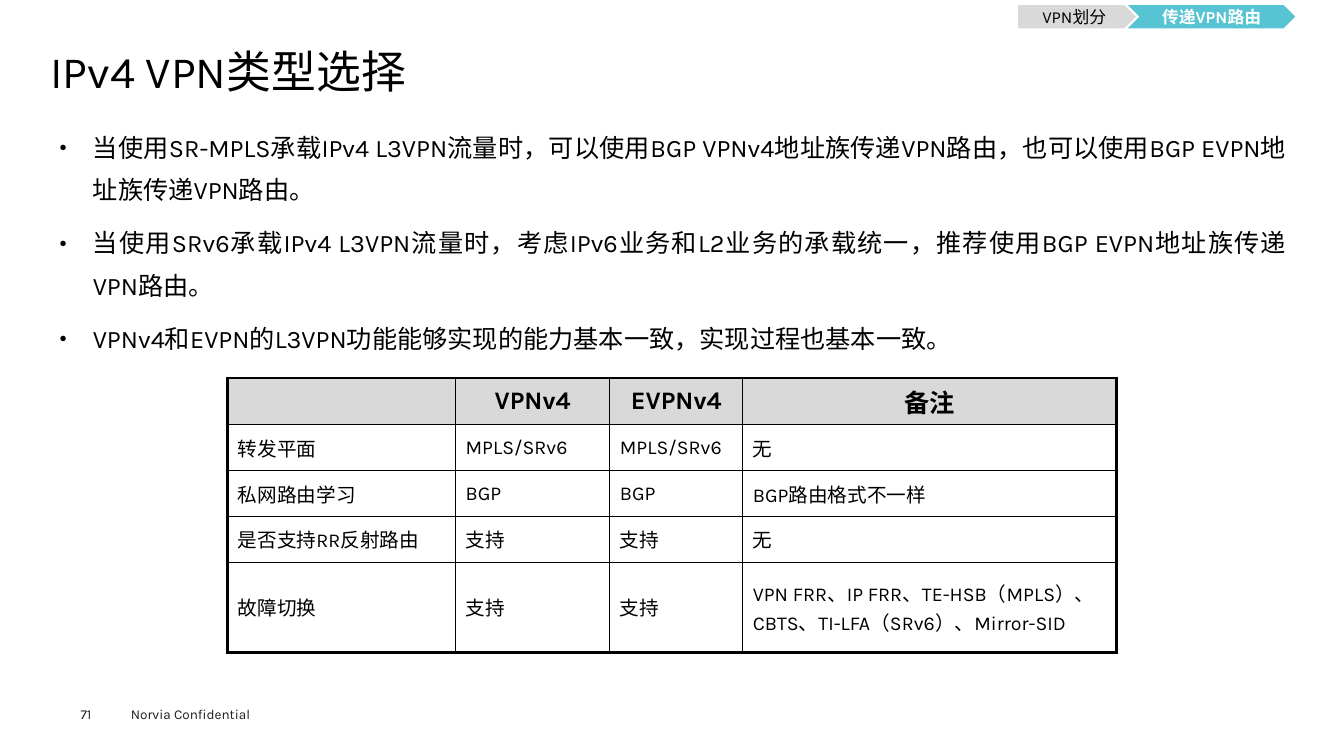
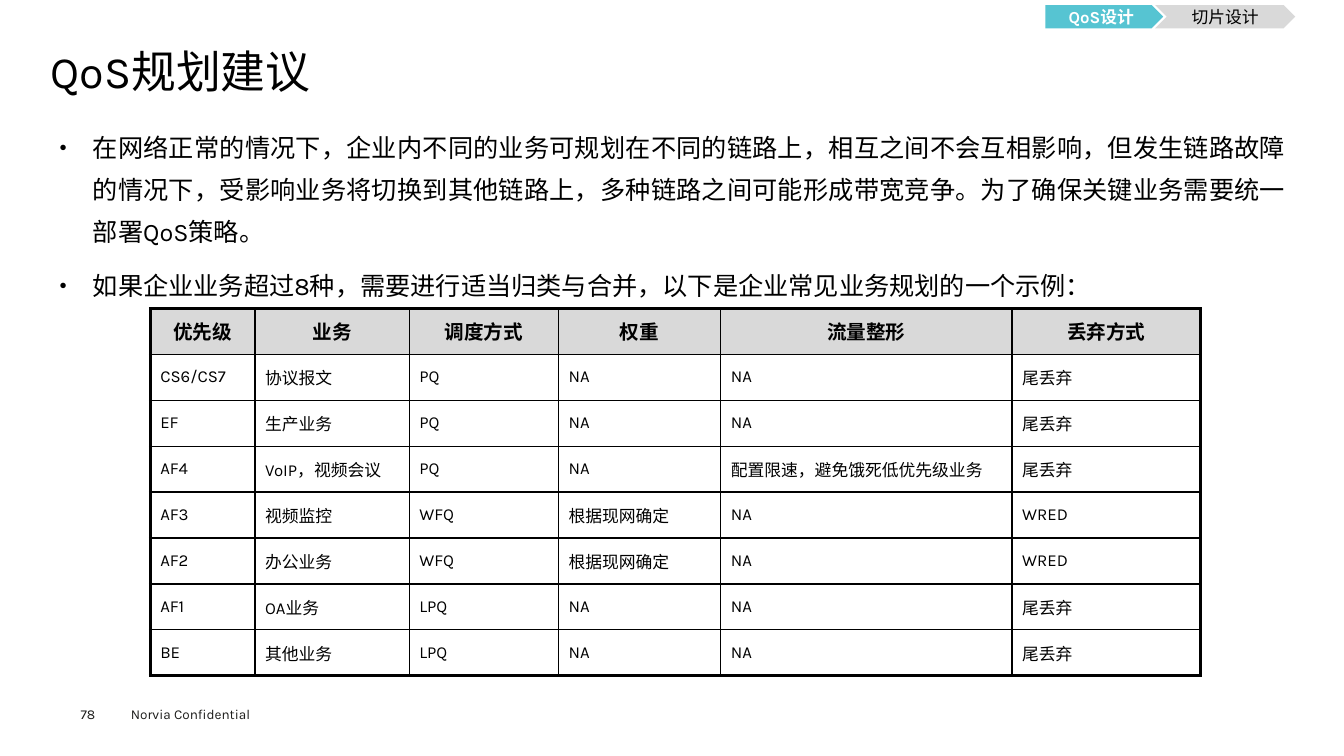
from dataclasses import dataclass

from lxml import etree
from pptx import Presentation
from pptx.dml.color import RGBColor
from pptx.enum import shapes, text
from pptx.oxml import ns
from pptx.util import Pt


@dataclass(frozen=True)
class Theme:
    font: str = "Karla"
    black: str = "000000"
    white: str = "FFFFFF"
    grey: str = "D9D9D9"
    teal: str = "56C4D2"
    footer: str = "1D1D1B"
    title_size: float = 32
    body_size: float = 18
    tab_size: float = 12
    footer_size: float = 9.7
    thin: float = 1
    thick: float = 2.25


theme = Theme()
left_edge, right_edge = 36, 925.2
tab_top, tab_height, first_tab_width, tab_step = 3.6, 16.6, 84.2, 78.4
row_height = 32.8

slides = [
    {
        "number": "71",
        "title": "IPv4 VPN类型选择",
        "body_height": 179.3,
        "bullets": [
            "当使用SR-MPLS承载IPv4 L3VPN流量时，可以使用BGP VPNv4地址族传递VPN路由，也可以使用BGP EVPN地址族传递VPN路由。",
            "当使用SRv6承载IPv4 L3VPN流量时，考虑IPv6业务和L2业务的承载统一，推荐使用BGP EVPN地址族传递VPN路由。",
            "VPNv4和EVPN的L3VPN功能能够实现的能力基本一致，实现过程也基本一致。",
        ],
        "tabs": ["VPN划分", "传递VPN路由"],
        "active_tab": 1,
        "last_tab_width": 119.5,
        "table_at": (162.7, 270),
        "columns": [162.7, 110.2, 95, 267.1],
        "header_size": 18,
        "cell_size": 14,
        "rows": [
            ["", "VPNv4", "EVPNv4", "备注"],
            ["转发平面", "MPLS/SRv6", "MPLS/SRv6", "无"],
            ["私网路由学习", "BGP", "BGP", "BGP路由格式不一样"],
            ["是否支持RR反射路由", "支持", "支持", "无"],
            ["故障切换", "支持", "支持", "VPN FRR、IP FRR、TE-HSB（MPLS）、CBTS、TI-LFA（SRv6）、Mirror-SID"],
        ],
    },
    {
        "number": "78",
        "title": "QoS规划建议",
        "body_height": 138.2,
        "bullets": [
            "在网络正常的情况下，企业内不同的业务可规划在不同的链路上，相互之间不会互相影响，但发生链路故障的情况下，受影响业务将切换到其他链路上，多种链路之间可能形成带宽竞争。为了确保关键业务需要统一部署QoS策略。",
            "如果企业业务超过8种，需要进行适当归类与合并，以下是企业常见业务规划的一个示例：",
        ],
        "tabs": ["QoS设计", "切片设计"],
        "active_tab": 0,
        "last_tab_width": 100.1,
        "table_at": (107.3, 220.3),
        "columns": [74.9, 110.2, 106.6, 115.9, 208.1, 134.6],
        "header_size": 14,
        "cell_size": 12,
        "rows": [
            ["优先级", "业务", "调度方式", "权重", "流量整形", "丢弃方式"],
            ["CS6/CS7", "协议报文", "PQ", "NA", "NA", "尾丢弃"],
            ["EF", "生产业务", "PQ", "NA", "NA", "尾丢弃"],
            ["AF4", "VoIP，视频会议", "PQ", "NA", "配置限速，避免饿死低优先级业务", "尾丢弃"],
            ["AF3", "视频监控", "WFQ", "根据现网确定", "NA", "WRED"],
            ["AF2", "办公业务", "WFQ", "根据现网确定", "NA", "WRED"],
            ["AF1", "OA业务", "LPQ", "NA", "NA", "尾丢弃"],
            ["BE", "其他业务", "LPQ", "NA", "NA", "尾丢弃"],
        ],
    },
]


def write(paragraph, content, size, color=theme.black, bold=False, **layout):
    for name, value in layout.items():
        setattr(paragraph, name, value)
    run = paragraph.add_run()
    run.text = content
    for name, value in {"name": theme.font, "size": Pt(size), "bold": bold}.items():
        setattr(run.font, name, value)
    run.font.color.rgb = RGBColor.from_string(color)


def set_frame(frame, horizontal=0, vertical=0, anchor=text.MSO_ANCHOR.TOP):
    settings = {
        "margin_left": Pt(horizontal),
        "margin_right": Pt(horizontal),
        "margin_top": Pt(vertical),
        "margin_bottom": Pt(vertical),
        "vertical_anchor": anchor,
        "word_wrap": True,
        "auto_size": text.MSO_AUTO_SIZE.NONE,
    }
    for name, value in settings.items():
        setattr(frame, name, value)


presentation = Presentation()
presentation.slide_width, presentation.slide_height = Pt(960), Pt(540)
center, middle = text.PP_ALIGN.CENTER, text.MSO_ANCHOR.MIDDLE

for content in slides:
    slide = presentation.slides.add_slide(presentation.slide_layouts[1])
    title, body = slide.placeholders
    for placeholder, top, height in ((title, 35.3, 38.2), (body, 82.8, content["body_height"])):
        placeholder.left, placeholder.top = Pt(left_edge), Pt(top)
        placeholder.width, placeholder.height = Pt(right_edge - left_edge), Pt(height)

    set_frame(title.text_frame)
    write(title.text_frame.paragraphs[0], content["title"], theme.title_size,
          alignment=text.PP_ALIGN.LEFT, line_spacing=0.9)

    set_frame(body.text_frame, 6.5, 2.9)
    for index, bullet in enumerate(content["bullets"]):
        paragraph = body.text_frame.add_paragraph() if index else body.text_frame.paragraphs[0]
        properties = paragraph._p.get_or_add_pPr()
        properties.set("marL", str(Pt(23.8)))
        properties.set("indent", str(-Pt(23.8)))
        etree.SubElement(properties, ns.qn("a:buSzPct")).set("val", "50000")
        etree.SubElement(properties, ns.qn("a:buChar")).set("char", "●")
        write(paragraph, bullet, theme.body_size, alignment=text.PP_ALIGN.JUSTIFY,
              line_spacing=1.4, space_before=Pt(7.9 if index else 0))

    last_tab_left = right_edge - content["last_tab_width"]
    tab_boxes = (
        (shapes.MSO_SHAPE.PENTAGON, last_tab_left - tab_step, first_tab_width),
        (shapes.MSO_SHAPE.CHEVRON, last_tab_left, content["last_tab_width"]),
    )
    for index, (kind, left, width) in enumerate(tab_boxes):
        active = index == content["active_tab"]
        tab = slide.shapes.add_shape(kind, Pt(left), Pt(tab_top), Pt(width), Pt(tab_height))
        tab.shadow.inherit = False
        tab.fill.solid()
        tab.fill.fore_color.rgb = RGBColor.from_string(theme.teal if active else theme.grey)
        tab.line.fill.background()
        set_frame(tab.text_frame, anchor=middle)
        write(tab.text_frame.paragraphs[0], content["tabs"][index], theme.tab_size,
              theme.white if active else theme.black, active, alignment=center)

    rows, columns = content["rows"], content["columns"]
    left, top = content["table_at"]
    table = slide.shapes.add_table(len(rows), len(columns), Pt(left), Pt(top),
                                   Pt(sum(columns)), Pt(row_height * len(rows))).table
    table.first_row = table.horz_banding = False
    for column, width in zip(table.columns, columns):
        column.width = Pt(width)
    for row_index, row in enumerate(rows):
        header = row_index == 0
        for column_index, value in enumerate(row):
            cell = table.cell(row_index, column_index)
            cell.vertical_anchor = middle
            outer_edges = {
                "a:lnL": column_index == 0,
                "a:lnR": column_index == len(columns) - 1,
                "a:lnT": header,
                "a:lnB": row_index == len(rows) - 1,
            }
            for tag, outer in outer_edges.items():
                border = etree.SubElement(cell._tc.get_or_add_tcPr(), ns.qn(tag))
                border.set("w", str(Pt(theme.thick if outer else theme.thin)))
                fill = etree.SubElement(border, ns.qn("a:solidFill"))
                etree.SubElement(fill, ns.qn("a:srgbClr")).set("val", theme.black)
            if header:
                cell.fill.solid()
                cell.fill.fore_color.rgb = RGBColor.from_string(theme.grey)
            else:
                cell.fill.background()
            if value:
                write(cell.text_frame.paragraphs[0], value,
                      content["header_size" if header else "cell_size"], bold=header,
                      alignment=center if header else text.PP_ALIGN.LEFT)

    footers = (
        ("Norvia Confidential", 86.4, 500.4, 115.2, 19.4, 7.2, 3.6),
        (content["number"], 57.6, 504, 39.6, 11.5, 0, 0),
    )
    for label, left, top, width, height, horizontal, vertical in footers:
        footer = slide.shapes.add_textbox(Pt(left), Pt(top), Pt(width), Pt(height))
        set_frame(footer.text_frame, horizontal, vertical)
        write(footer.text_frame.paragraphs[0], label, theme.footer_size, theme.footer)

presentation.save("out.pptx")
